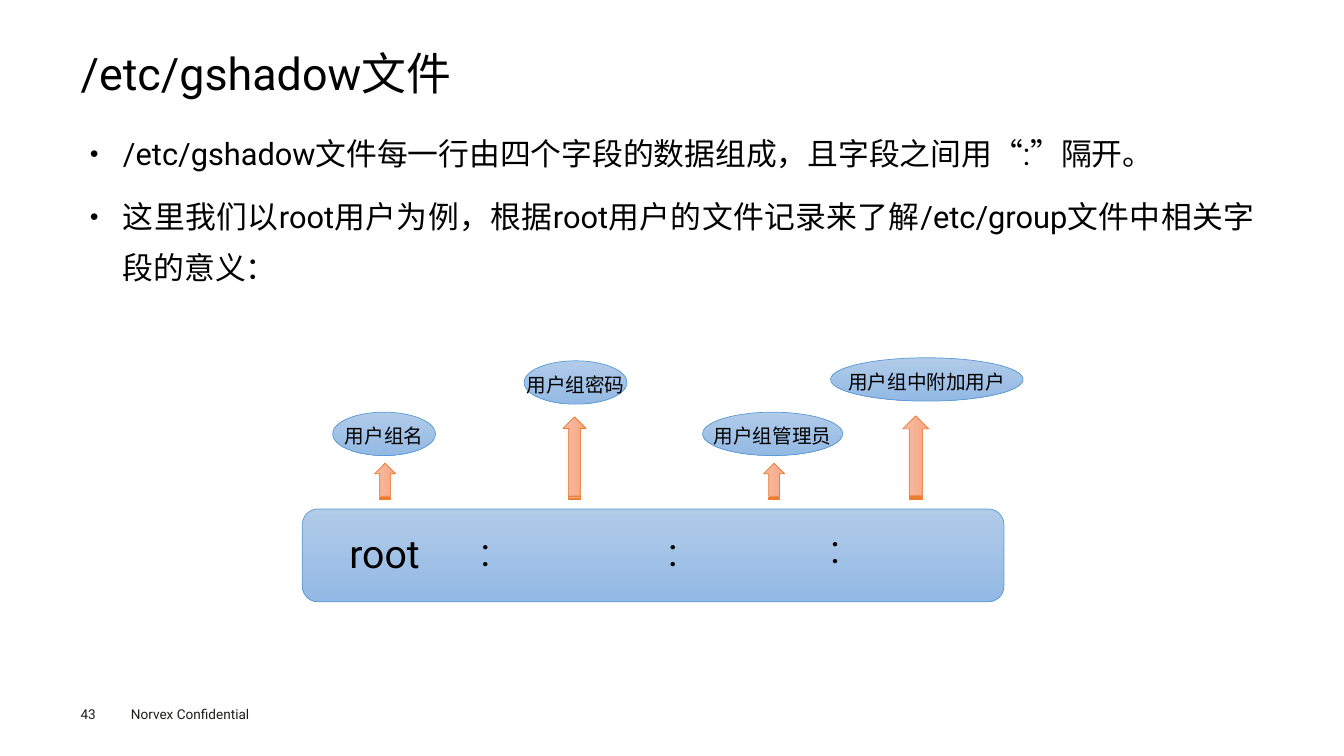
from lxml.etree import SubElement
from pptx import Presentation
from pptx.dml.color import RGBColor
from pptx.enum.shapes import MSO_SHAPE
from pptx.enum.text import MSO_ANCHOR, MSO_AUTO_SIZE, PP_ALIGN
from pptx.oxml.ns import qn
from pptx.util import Inches, Pt

FONT = "Roboto"
BLACK = RGBColor(0x00, 0x00, 0x00)
FOOTER_GREY = RGBColor(0x1D, 0x1D, 0x1B)
BLUE = (RGBColor(0xB1, 0xCB, 0xE9), RGBColor(0x93, 0xB9, 0xE4))
BLUE_EDGE = RGBColor(0x5B, 0x9B, 0xD5)
ORANGE = (RGBColor(0xF7, 0xBD, 0xA5), RGBColor(0xF8, 0xA5, 0x82))
ORANGE_EDGE = RGBColor(0xED, 0x7D, 0x31)

# The slide is a grid of 100 columns by 100 rows.
SLIDE_WIDTH, SLIDE_HEIGHT = Inches(13.33), Inches(7.5)
COLUMN, ROW = SLIDE_WIDTH / 100, SLIDE_HEIGHT / 100
BUBBLE_ROWS = 5.73
ARROW_BOTTOM = 66.07

TITLE = "/etc/gshadow文件"
POINTS = (
    "/etc/gshadow文件每一行由四个字段的数据组成，且字段之间用“:”隔开。",
    "这里我们以root用户为例，根据root用户的文件记录来了解/etc/group文件中相关字段的意义：",
)
# Label, bubble centre, top and width, then arrow centre, length and thickness
FIELDS = (
    ("用户组名", 28.58, 54.53, 7.65, 28.65, 4.8, 1.58),
    ("用户组密码", 42.83, 47.73, 7.65, 42.75, 10.93, 1.73),
    ("用户组管理员", 57.49, 54.53, 10.43, 57.6, 4.8, 1.58),
    ("用户组中附加用户", 68.96, 47.33, 14.33, 68.14, 11.07, 1.95),
)
# Text, left column and top row inside the record bar
RECORD = (
    ("root", 21.6, 69.33),
    (":", 29.1, 69.07),
    (":", 43.05, 69.07),
    (":", 55.13, 68.67),
)


def box(left, top, columns, rows):
    """Turn grid units into left, top, width and height."""
    return (round(left * COLUMN), round(top * ROW),
            round(columns * COLUMN), round(rows * ROW))


def place(placeholder, area):
    (placeholder.left, placeholder.top,
     placeholder.width, placeholder.height) = area


def format_runs(paragraph, size, color=BLACK):
    for run in paragraph.runs:
        run.font.name = FONT
        run.font.size = Pt(size)
        run.font.color.rgb = color


def set_margins(frame, side=0, edge=0):
    frame.margin_left = frame.margin_right = Inches(side)
    frame.margin_top = frame.margin_bottom = Inches(edge)


def fill_title(title):
    place(title, box(6, 6.53, 88, 7.07))
    frame = title.text_frame
    frame.text = TITLE
    frame.auto_size = MSO_AUTO_SIZE.NONE
    frame.vertical_anchor = MSO_ANCHOR.MIDDLE
    set_margins(frame)
    heading = frame.paragraphs[0]
    heading.alignment = PP_ALIGN.LEFT
    heading.line_spacing = 0.9
    format_runs(heading, 32)


def add_bullet(paragraph):
    """Give the paragraph a half-size round bullet with a hanging indent."""
    properties = paragraph._p.get_or_add_pPr()
    properties.set("marL", str(Inches(0.33)))
    properties.set("indent", str(-Inches(0.33)))
    SubElement(properties, qn("a:buSzPct"), val="50000")
    SubElement(properties, qn("a:buChar"), char="●")


def fill_points(body):
    place(body, box(6, 15.33, 88, 71.2))
    frame = body.text_frame
    frame.text = "\n".join(POINTS)
    frame.auto_size = MSO_AUTO_SIZE.NONE
    set_margins(frame, 0.09, 0.04)
    for point in frame.paragraphs:
        point.alignment = PP_ALIGN.JUSTIFY
        point.line_spacing = 1.4
        point.space_before = Pt(7.9)
        add_bullet(point)
        format_runs(point, 22)


def add_gradient_shape(slide, kind, area, shades, edge):
    shape = slide.shapes.add_shape(kind, *area)
    shape.shadow.inherit = False
    shape.fill.gradient()
    shape.fill.gradient_angle = 270
    for stop, shade in zip(shape.fill.gradient_stops, shades):
        stop.color.rgb = shade
    shape.line.color.rgb = edge
    shape.line.width = Pt(0.5)
    return shape


def add_bubble(slide, label, center, top, columns):
    area = box(center - columns / 2, top, columns, BUBBLE_ROWS)
    bubble = add_gradient_shape(slide, MSO_SHAPE.OVAL, area, BLUE, BLUE_EDGE)
    frame = bubble.text_frame
    frame.text = label
    frame.word_wrap = False
    set_margins(frame)
    frame.margin_top = Inches(0.04)
    frame.paragraphs[0].alignment = PP_ALIGN.CENTER
    format_runs(frame.paragraphs[0], 14)


def add_up_arrow(slide, center, rows, columns):
    """Turn a striped right arrow so that it points up from the record bar."""
    length, thickness = round(rows * ROW), round(columns * COLUMN)
    middle = (ARROW_BOTTOM - rows / 2) * ROW
    area = (round(center * COLUMN - length / 2), round(middle - thickness / 2),
            length, thickness)
    arrow = add_gradient_shape(slide, MSO_SHAPE.STRIPED_RIGHT_ARROW, area,
                               ORANGE, ORANGE_EDGE)
    arrow.rotation = 270


def add_text(slide, text, area, size, color=BLACK, alignment=PP_ALIGN.LEFT):
    frame = slide.shapes.add_textbox(*area).text_frame
    frame.text = text
    frame.word_wrap = True
    frame.paragraphs[0].alignment = alignment
    format_runs(frame.paragraphs[0], size, color)
    return frame


def add_footer(slide):
    add_text(slide, "Norvex Confidential", box(9, 92.67, 12, 3.6), 9.7, FOOTER_GREY)
    page_number = add_text(slide, "43", box(6, 93.33, 4.1, 2.13), 9.7, FOOTER_GREY)
    set_margins(page_number)


def main():
    presentation = Presentation()
    presentation.slide_width = SLIDE_WIDTH
    presentation.slide_height = SLIDE_HEIGHT
    slide = presentation.slides.add_slide(presentation.slide_layouts[1])

    fill_title(slide.shapes.title)
    fill_points(slide.placeholders[1])
    add_gradient_shape(slide, MSO_SHAPE.ROUNDED_RECTANGLE,
                       box(22.5, 67.33, 52.2, 12.27), BLUE, BLUE_EDGE)
    for text, left, top in RECORD:
        add_text(slide, text, box(left, top, 14.03, 7.6), 28,
                 alignment=PP_ALIGN.CENTER)
    for label, center, top, columns, *arrow in FIELDS:
        add_up_arrow(slide, *arrow)
        add_bubble(slide, label, center, top, columns)
    add_footer(slide)

    presentation.save("out.pptx")


if __name__ == "__main__":
    main()
